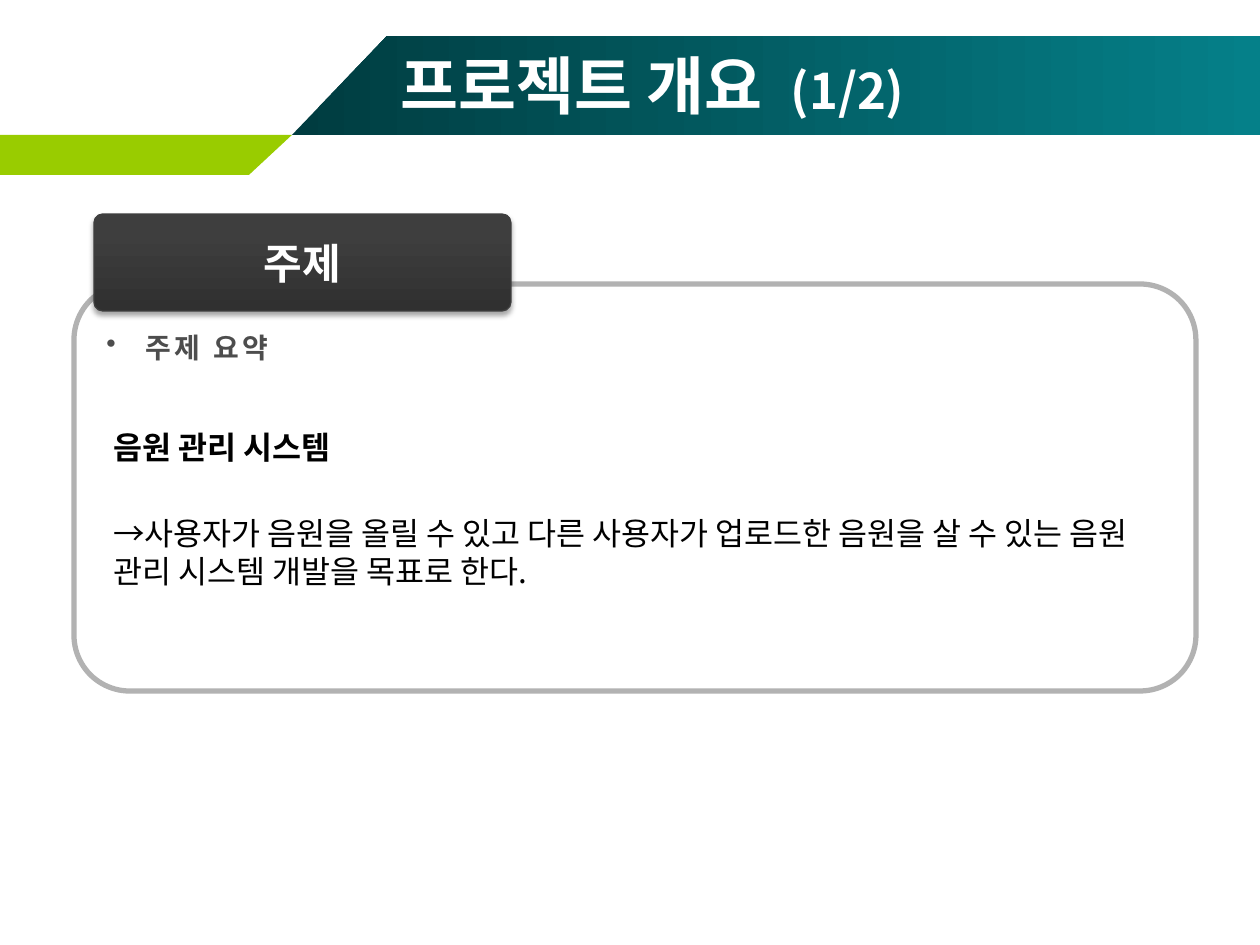
from dataclasses import dataclass

from lxml import etree
from pptx import Presentation
from pptx import util as u
from pptx.dml.color import RGBColor
from pptx.enum import shapes, text
from pptx.oxml import parse_xml
from pptx.oxml.ns import nsdecls, qn

DPI = 126
FONT = "Noto Sans CJK KR"
HUE = {
    "white": "FFFFFF", "black": "000000", "lime": "99CC00",
    "deep": "003C40", "teal": "058089", "frame": "B2B2B2",
    "tab": "3E3E3E", "shade": "303030", "edge": "3F3F3F", "gray": "4D4D4D",
}


@dataclass
class Box:
    x: int
    y: int
    w: int
    h: int


@dataclass
class Band:
    pts: list[tuple[int, int]]
    fill: list[str]


@dataclass
class Para:
    words: str
    size: int
    hue: str
    bold: bool = True
    lead: float = 0    # line pitch in points, 0 for natural
    after: float = 0
    track: int = 0     # letter spacing in 1/100 pt


def px(n: int) -> u.Emu:
    return u.Emu(round(n * 914400 / DPI))


def rgb(name: str) -> RGBColor:
    return RGBColor.from_string(HUE[name])


def paint(shape, hues: list[str], angle: int = 0, end: float = 1) -> None:
    """Fill with one colour, or a gradient of two."""
    fill = shape.fill
    if len(hues) == 1:
        fill.solid()
        fill.fore_color.rgb = rgb(hues[0])
        return
    fill.gradient()
    fill.gradient_angle = angle
    for stop, hue, pos in zip(fill.gradient_stops, hues, (0, end)):
        stop.color.rgb = rgb(hue)
        stop.position = pos


def draw_band(slide, band: Band) -> None:
    first, *rest = [(px(x), px(y)) for x, y in band.pts]
    form = slide.shapes.build_freeform(*first, scale=1.0)
    shape = form.add_line_segments(rest, close=True).convert_to_shape()
    shape.shadow.inherit = False
    paint(shape, band.fill)
    shape.line.fill.background()


def draw_round(slide, box: Box, adj: float, line: str, width: float):
    shape = slide.shapes.add_shape(
        shapes.MSO_SHAPE.ROUNDED_RECTANGLE,
        px(box.x), px(box.y), px(box.w), px(box.h))
    shape.adjustments[0] = adj
    shape.shadow.inherit = False
    shape.line.color.rgb = rgb(line)
    shape.line.width = u.Pt(width)
    return shape


def write(frame, paras: list[Para]) -> None:
    frame.word_wrap = True
    for i, item in enumerate(paras):
        para = frame.add_paragraph() if i else frame.paragraphs[0]
        para.add_run().text = item.words
        font = para.font
        font.name, font.size, font.bold = FONT, u.Pt(item.size), item.bold
        font.color.rgb = rgb(item.hue)
        props = para._p.pPr.find(qn("a:defRPr"))
        etree.SubElement(props, qn("a:ea")).set("typeface", FONT)
        if item.track:
            props.set("spc", str(item.track))
        if item.lead:
            para.line_spacing = u.Pt(item.lead)
        para.space_after = u.Pt(item.after)


def add_text(slide, box: Box, paras: list[Para]):
    frame = slide.shapes.add_textbox(
        px(box.x), px(box.y), px(box.w), px(box.h)).text_frame
    write(frame, paras)
    return frame


def main() -> None:
    deck = Presentation()
    deck.slide_width, deck.slide_height = px(1260), px(945)
    slide = deck.slides.add_slide(deck.slide_layouts[6])

    # Header bands
    for band in (
        Band([(292, 135), (1260, 135), (1260, 36), (387, 36)],
             ["deep", "teal"]),
        Band([(0, 135), (292, 135), (249, 175), (0, 175)], ["lime"]),
    ):
        draw_band(slide, band)

    # Content frame
    card = draw_round(slide, Box(74, 284, 1122, 407), 0.137, "frame", 3)
    paint(card, ["white"])
    tint = card._element.spPr.find(qn("a:solidFill"))[0]
    etree.SubElement(tint, qn("a:alpha")).set("val", "31000")

    # Title, with a wider gap before the page count
    title = add_text(slide, Box(388, 45, 840, 78),
                     [Para("프로젝트 개요", 36, "white")])
    title.vertical_anchor = text.MSO_ANCHOR.MIDDLE
    head = title.paragraphs[0]
    gap = head.add_run()
    gap.text = " "
    gap._r.get_or_add_rPr().set("spc", "800")
    count = head.add_run()
    count.text = "(1/2)"
    count.font.size = u.Pt(28)

    # Bulleted summary heading
    note = add_text(slide, Box(94, 324, 1091, 47),
                    [Para("주제 요약", 16, "gray", lead=19.3, track=200)])
    props = note.paragraphs[0]._p.pPr
    props.set("marL", str(px(39)))
    props.set("indent", str(-px(39)))
    dot = etree.Element(qn("a:buChar"))
    dot.set("char", "•")
    props.find(qn("a:defRPr")).addprevious(dot)

    # Topic tab
    tab = draw_round(slide, Box(94, 214, 417, 97), 0.091, "edge", 0.75)
    paint(tab, ["shade", "tab"], 90, 0.8)
    tab._element.spPr.find(qn("a:effectLst")).append(parse_xml(
        f'<a:outerShdw {nsdecls("a")} blurRad="39370" dist="22860" '
        f'dir="5400000" rotWithShape="0"><a:srgbClr val="{HUE["black"]}">'
        '<a:alpha val="35000"/></a:srgbClr></a:outerShdw>'))
    write(tab.text_frame, [Para("주제", 24, "white")])
    tab.text_frame.vertical_anchor = text.MSO_ANCHOR.MIDDLE
    tab.text_frame.paragraphs[0].alignment = text.PP_ALIGN.CENTER

    # Topic description
    add_text(slide, Box(101, 422, 1091, 217), [
        Para("음원 관리 시스템", 18, "black", lead=21.7, after=27),
        Para("→사용자가 음원을 올릴 수 있고 다른 사용자가 업로드한 음원을 "
             "살 수 있는 음원 관리 시스템 개발을 목표로 한다.",
             18, "black", bold=False, lead=21.7),
    ])

    deck.save("out.pptx")


if __name__ == "__main__":
    main()
